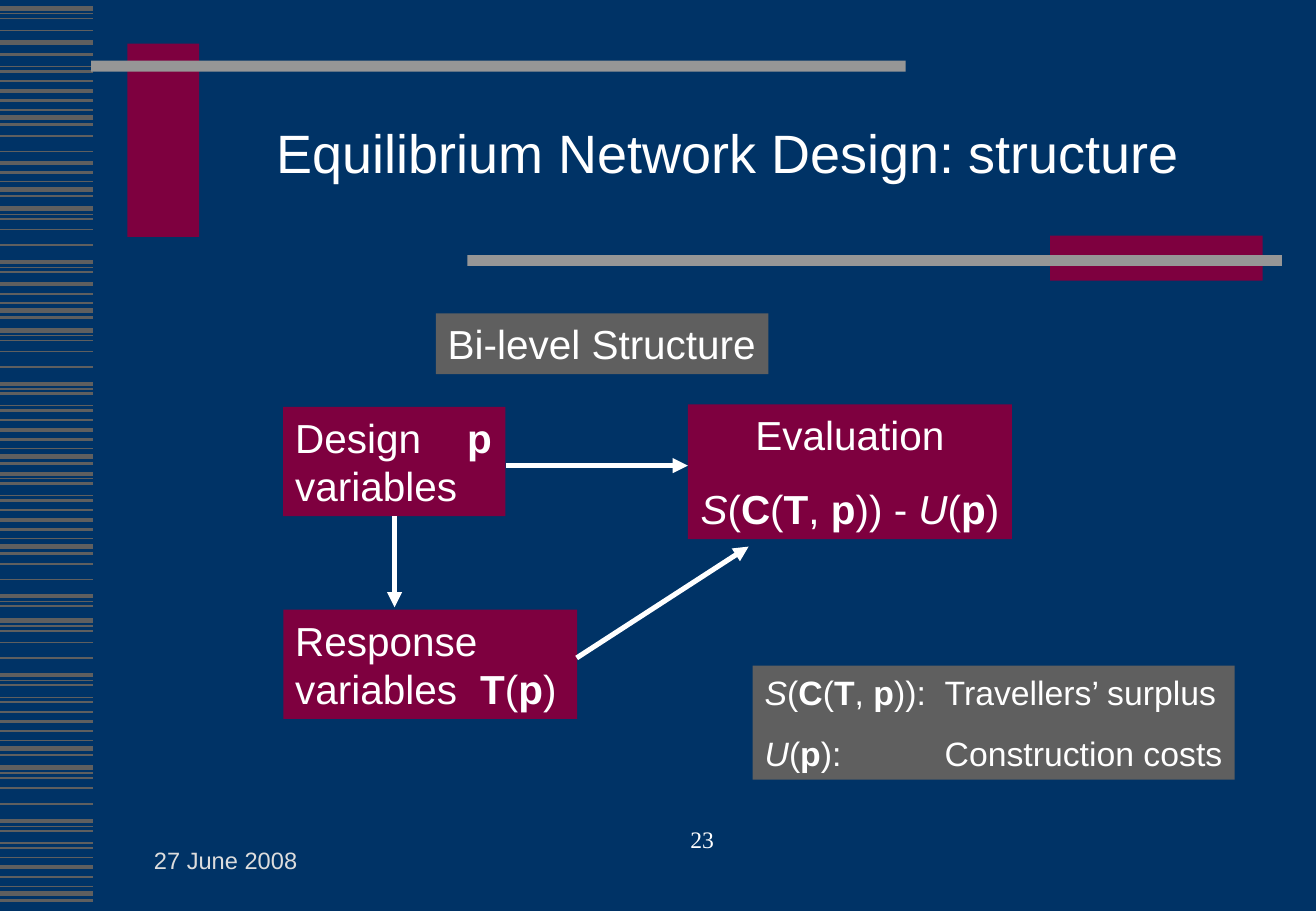
from typing import NamedTuple

from lxml import etree
from pptx import Presentation
from pptx import util as u
from pptx.dml.color import RGBColor
from pptx.enum import shapes, text
from pptx.oxml.ns import qn

NAVY, WINE, GREY, SILVER, WHITE, PALE = (
    "003366", "7E003F", "5F5F5F", "969696", "FFFFFF", "DDDDDD")
LEFT, CENTER, RIGHT = text.PP_ALIGN.LEFT, text.PP_ALIGN.CENTER, text.PP_ALIGN.RIGHT
TOP, MIDDLE, BOTTOM = (
    text.MSO_ANCHOR.TOP, text.MSO_ANCHOR.MIDDLE, text.MSO_ANCHOR.BOTTOM)


class Span(NamedTuple):
    words: str
    bold: bool = False
    italic: bool = False


class Block(NamedTuple):
    """A rectangle, filled or not, with paragraphs of spans."""
    left: float
    top: float
    width: float
    height: float
    paragraphs: list[list[Span]]
    fill: str | None = None
    size: float = 24
    align: text.PP_ALIGN = LEFT
    anchor: text.MSO_ANCHOR = TOP
    before: float = 0
    tab: float | None = None
    wrap: bool = True
    font: str = "Arial"
    color: str = WHITE
    spacing: float = 1


class Line(NamedTuple):
    x1: float
    y1: float
    x2: float
    y2: float
    color: str = WHITE
    weight: float = 3
    arrow: bool = True


class Motif(NamedTuple):
    """Stripes as (offset, weight), repeated from every start."""
    stripes: list[tuple[float, float]]
    starts: list[float]


STRIPE_WIDTH = 55.44
MOTIFS = [
    Motif([(0, 3), (3.2, 0.75), (6, 1)], [5.04, 123.84, 195.84, 367.92, 455.04]),
    Motif([(0, 1), (9.2, 1)], [80.64, 136.08, 208.44, 334.4, 380.88, 467.28]),
    Motif([(0, 2.25), (3, 0.75), (5.8, 1.5)],
          [155.52, 227.52, 280.8, 353.52, 400.32, 486.72]),
    Motif([(0, 0.75), (2.9, 1.5), (8.6, 1)], [39.6, 240.48, 293.76, 413.28, 499.68]),
    Motif([(0, 2.25), (5.7, 1.5), (11.2, 0.75), (15.8, 3), (19.8, 1.5)],
          [54, 96.48, 168.48, 254.88, 308.16, 427.68, 514.08]),
    Motif([(0, 1), (7.2, 3), (14.4, 1.5)], [18]),
]

BARS = [
    Block(75.6, 25.92, 42.48, 114.48, [], WINE),
    Block(54, 36, 483.12, 6.48, [], SILVER),
    Block(622.8, 139.68, 126, 26.64, [], WINE),
    Block(277.2, 151.2, 483.12, 6.48, [], SILVER),
]

S, U = Span("S", italic=True), Span("U", italic=True)
C, T, P = Span("C", bold=True), Span("T", bold=True), Span("p", bold=True)
OPEN, CLOSE = Span("("), Span(")")
SURPLUS = [S, OPEN, C, OPEN, T, Span(", "), P]
COSTS = [U, OPEN, P]

BLOCKS = [
    Block(117.36, 48.24, 629.28, 90, [[Span("Equilibrium Network Design: structure")]],
          size=32, align=CENTER, anchor=MIDDLE, spacing=0.85),
    Block(168, 241.2, 131.76, 64.8, [[Span("Design\t"), P, Span(" variables")]],
          WINE, before=15, tab=102),
    Block(168, 361.44, 174.24, 64.8,
          [[Span("Response variables\t"), T, OPEN, P, CLOSE]],
          WINE, before=15, tab=109.7),
    Block(408, 239.76, 192.24, 79.92,
          [[Span("Evaluation")], [*SURPLUS, Span(")) - "), *COSTS, CLOSE]],
          WINE, align=CENTER, before=15),
    Block(446.4, 394.56, 285.84, 67.68,
          [[*SURPLUS, Span(")):\tTravellers’ surplus")],
           [*COSTS, Span("):\tConstruction costs")]],
          GREY, size=20, before=12.5, tab=106.8, wrap=False),
    Block(258.48, 185.76, 197.28, 36, [[Span("Bi-level Structure")]],
          GREY, before=15, wrap=False),
    Block(248.4, 485.28, 182.16, 37.44, [[Span("23")]],
          size=14, align=RIGHT, font="Times New Roman"),
    Block(84.24, 486, 252, 36, [[Span("27 June 2008")]],
          size=14, anchor=BOTTOM, color=PALE),
]

ARROWS = [
    Line(300, 276, 408, 276),
    Line(342, 390, 444, 324),
    Line(234, 306, 234, 360),
]


def rgb(value: str) -> RGBColor:
    return RGBColor.from_string(value)


def add_tab_stop(para, position: float) -> None:
    tabs = etree.SubElement(para._p.get_or_add_pPr(), qn("a:tabLst"))
    etree.SubElement(tabs, qn("a:tab"), pos=str(u.Pt(position)), algn="l")


def draw_block(slide, block: Block) -> None:
    frame = [u.Pt(value) for value in block[:4]]
    if block.fill:
        box = slide.shapes.add_shape(shapes.MSO_SHAPE.RECTANGLE, *frame)
        box.shadow.inherit = False
        box.fill.solid()
        box.fill.fore_color.rgb = rgb(block.fill)
        box.line.fill.background()
    else:
        box = slide.shapes.add_textbox(*frame)
    body = box.text_frame
    body.word_wrap = block.wrap
    body.vertical_anchor = block.anchor
    for index, spans in enumerate(block.paragraphs):
        para = body.add_paragraph() if index else body.paragraphs[0]
        para.alignment = block.align
        para.line_spacing = block.spacing
        para.space_before = u.Pt(block.before)
        if block.tab:
            add_tab_stop(para, block.tab)
        for span in spans:
            run = para.add_run()
            run.text = span.words
            run.font.name = block.font
            run.font.size = u.Pt(block.size)
            run.font.bold = span.bold
            run.font.italic = span.italic
            run.font.color.rgb = rgb(block.color)


def draw_line(slide, line: Line) -> None:
    ends = [u.Pt(value) for value in line[:4]]
    connector = slide.shapes.add_connector(shapes.MSO_CONNECTOR.STRAIGHT, *ends)
    connector.line.color.rgb = rgb(line.color)
    connector.line.width = u.Pt(line.weight)
    if line.arrow:
        etree.SubElement(connector.line._get_or_add_ln(), qn("a:tailEnd"),
                         type="triangle")
    etree.SubElement(connector._element.spPr, qn("a:effectLst"))


def main() -> None:
    deck = Presentation()
    deck.slide_width, deck.slide_height = u.Pt(780.48), u.Pt(540)
    page = deck.slides.add_slide(deck.slide_layouts[6])
    page.background.fill.solid()
    page.background.fill.fore_color.rgb = rgb(NAVY)
    for motif in MOTIFS:
        for start in motif.starts:
            for offset, weight in motif.stripes:
                y = start + offset
                draw_line(page, Line(0, y, STRIPE_WIDTH, y, GREY, weight, False))
    for block in BARS + BLOCKS:
        draw_block(page, block)
    for arrow in ARROWS:
        draw_line(page, arrow)
    deck.save("out.pptx")


if __name__ == "__main__":
    main()
